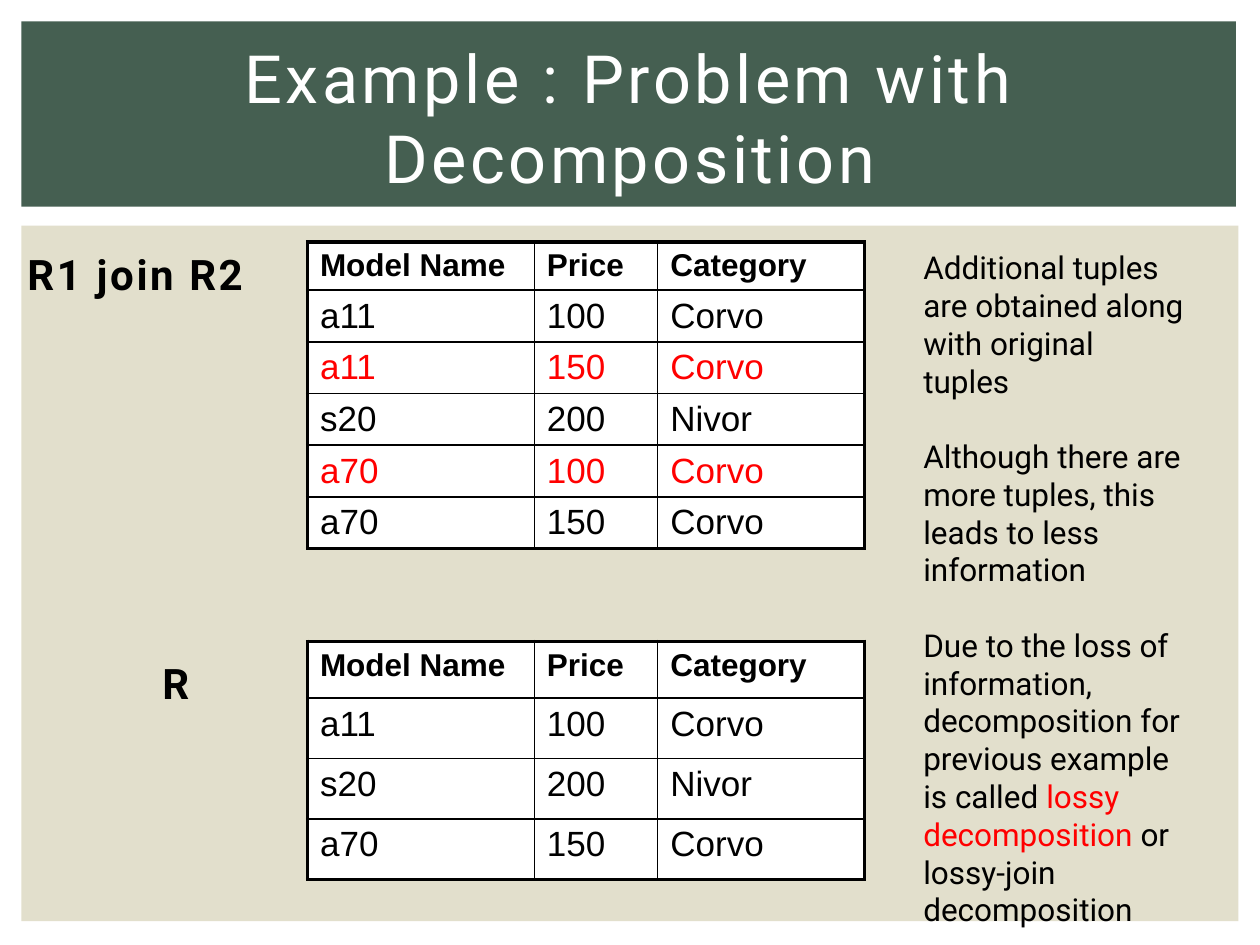
from dataclasses import dataclass

from lxml import etree
from pptx import Presentation
from pptx.dml.color import RGBColor
from pptx.enum.shapes import MSO_SHAPE
from pptx.enum.text import MSO_ANCHOR, PP_ALIGN
from pptx.oxml.ns import qn
from pptx.util import Inches, Pt

RECT = MSO_SHAPE.RECTANGLE
MIDDLE, TOP = MSO_ANCHOR.MIDDLE, MSO_ANCHOR.TOP
CENTER, LEFT = PP_ALIGN.CENTER, PP_ALIGN.LEFT
WIDTH, HEIGHT = Inches(10), Inches(7.5)
BLACK, WHITE, RED = "000000", "FFFFFF", "FF0000"
GREEN, SAND = "455F51", "E2DFCC"
THIN, THICK = Pt(1), Pt(2.25)
COLUMNS = (18, 9.8, 16.4)
HEADER = ("Model Name", "Price", "Category")


@dataclass(frozen=True)
class Box:
    """Place and size in percent of the slide's width and height."""

    x: float
    y: float
    w: float
    h: float

    def emu(self) -> tuple:
        """Return left, top, width and height as lengths."""
        return across(self.x), down(self.y), across(self.w), down(self.h)


@dataclass(frozen=True)
class Style:
    """Look of a run of text."""

    size: float
    color: str = BLACK
    bold: bool = False
    name: str = "Roboto"
    spacing: float = 0


@dataclass(frozen=True)
class Label:
    """Text box whose paragraphs are lists of text and style pairs."""

    box: Box
    paragraphs: list
    align: PP_ALIGN = LEFT
    anchor: MSO_ANCHOR = TOP
    gap: float = 0


@dataclass(frozen=True)
class Relation:
    """Table of tuples, with the extra ones marked by row number."""

    y: float
    header_height: float
    row_height: float
    rows: list
    extra: tuple = ()


def across(share: float) -> int:
    """Turn a percentage of the slide's width into a length."""
    return round(WIDTH * share / 100)


def down(share: float) -> int:
    """Turn a percentage of the slide's height into a length."""
    return round(HEIGHT * share / 100)


def rgb(color: str) -> RGBColor:
    """Turn a hex string into a colour."""
    return RGBColor.from_string(color)


def add_run(p, text: str, style: Style) -> None:
    """Add a styled run to a paragraph."""
    r = p.add_run()
    r.text = text
    formats = {"size": Pt(style.size), "bold": style.bold, "name": style.name}
    for key, value in formats.items():
        setattr(r.font, key, value)
    r.font.color.rgb = rgb(style.color)
    if style.spacing:
        r._r.get_or_add_rPr().set("spc", str(round(style.spacing * 100)))


def add_panel(s, box: Box, color: str) -> None:
    """Draw a plain filled rectangle."""
    sp = s.shapes.add_shape(RECT, *box.emu())
    sp.shadow.inherit = False
    sp.fill.solid()
    sp.fill.fore_color.rgb = rgb(color)
    sp.line.fill.background()


def add_label(s, label: Label) -> None:
    """Draw a wrapped text box."""
    tf = s.shapes.add_textbox(*label.box.emu()).text_frame
    tf.word_wrap = True
    tf.vertical_anchor = label.anchor
    for i, runs in enumerate(label.paragraphs):
        p = tf.add_paragraph() if i else tf.paragraphs[0]
        p.alignment = label.align
        if i:
            p.space_before = Pt(label.gap)
        for text, style in runs:
            add_run(p, text, style)


def set_borders(cell, widths: dict) -> None:
    """Give a cell black borders, ahead of its fill."""
    tcPr = cell._tc.get_or_add_tcPr()
    for i, (side, width) in enumerate(widths.items()):
        ln = etree.Element(qn(f"a:{side}"), w=str(width))
        fill = etree.SubElement(ln, qn("a:solidFill"))
        etree.SubElement(fill, qn("a:srgbClr"), val=BLACK)
        tcPr.insert(i, ln)


def add_relation(s, relation: Relation) -> None:
    """Draw a table with a thick frame and thin inner lines."""
    rows = [HEADER, *relation.rows]
    heights = [relation.header_height] + [relation.row_height] * len(relation.rows)
    box = Box(24.4, relation.y, sum(COLUMNS), sum(heights))
    table = s.shapes.add_table(len(rows), len(COLUMNS), *box.emu()).table
    table.horz_banding = False
    for column, share in zip(table.columns, COLUMNS):
        column.width = across(share)
    last_row, last_column = len(rows) - 1, len(COLUMNS) - 1
    for i, values in enumerate(rows):
        table.rows[i].height = down(heights[i])
        color = RED if i in relation.extra else BLACK
        style = Style(20 if i else 18, color, bold=i == 0, name="Arial")
        for j, value in enumerate(values):
            cell = table.cell(i, j)
            cell.fill.solid()
            cell.fill.fore_color.rgb = rgb(WHITE)
            add_run(cell.text_frame.paragraphs[0], value, style)
            outer = {"lnL": j == 0, "lnR": j == last_column,
                     "lnT": i == 0, "lnB": i == last_row}
            set_borders(cell, {k: THICK if v else THIN for k, v in outer.items()})


TITLE = Style(38, WHITE, spacing=2)
JOIN = Style(24, bold=True, spacing=1.5)
NAME = Style(24, bold=True)
NOTE, ALERT = Style(18), Style(18, RED)

PANELS = [(Box(1.7, 23.87, 96.6, 73.6), SAND), (Box(1.7, 2.27, 96.4, 19.6), GREEN)]
RELATIONS = [
    Relation(25.6, 5.1, 5.47, [
        ("a11", "100", "Corvo"), ("a11", "150", "Corvo"), ("s20", "200", "Nivor"),
        ("a70", "100", "Corvo"), ("a70", "150", "Corvo")], extra=(2, 4)),
    Relation(67.87, 6, 6.4, [
        ("a11", "100", "Corvo"), ("s20", "200", "Nivor"), ("a70", "150", "Corvo")]),
]
LABELS = [
    Label(Box(5, 4, 90, 16.67), [[("Example : Problem with Decomposition", TITLE)]],
          CENTER, MIDDLE),
    Label(Box(1.2, 25.6, 20.4, 7), [[("R1 join R2", JOIN)]]),
    Label(Box(11.9, 68.93, 10, 6.67), [[("R", NAME)]]),
    Label(Box(72.3, 25.6, 22.7, 70), [
        [("Additional tuples are obtained along with original tuples", NOTE)],
        [("Although there are more tuples, this leads to less information", NOTE)],
        [("Due to the loss of information, decomposition for previous example "
          "is called ", NOTE), ("lossy decomposition", ALERT),
         (" or lossy-join decomposition", NOTE)]], gap=21.5),
]


def main() -> None:
    """Build the slide and save it."""
    prs = Presentation()
    prs.slide_width, prs.slide_height = WIDTH, HEIGHT
    s = prs.slides.add_slide(prs.slide_layouts[6])
    for box, color in PANELS:
        add_panel(s, box, color)
    for relation in RELATIONS:
        add_relation(s, relation)
    for label in LABELS:
        add_label(s, label)
    prs.save("out.pptx")


if __name__ == "__main__":
    main()
